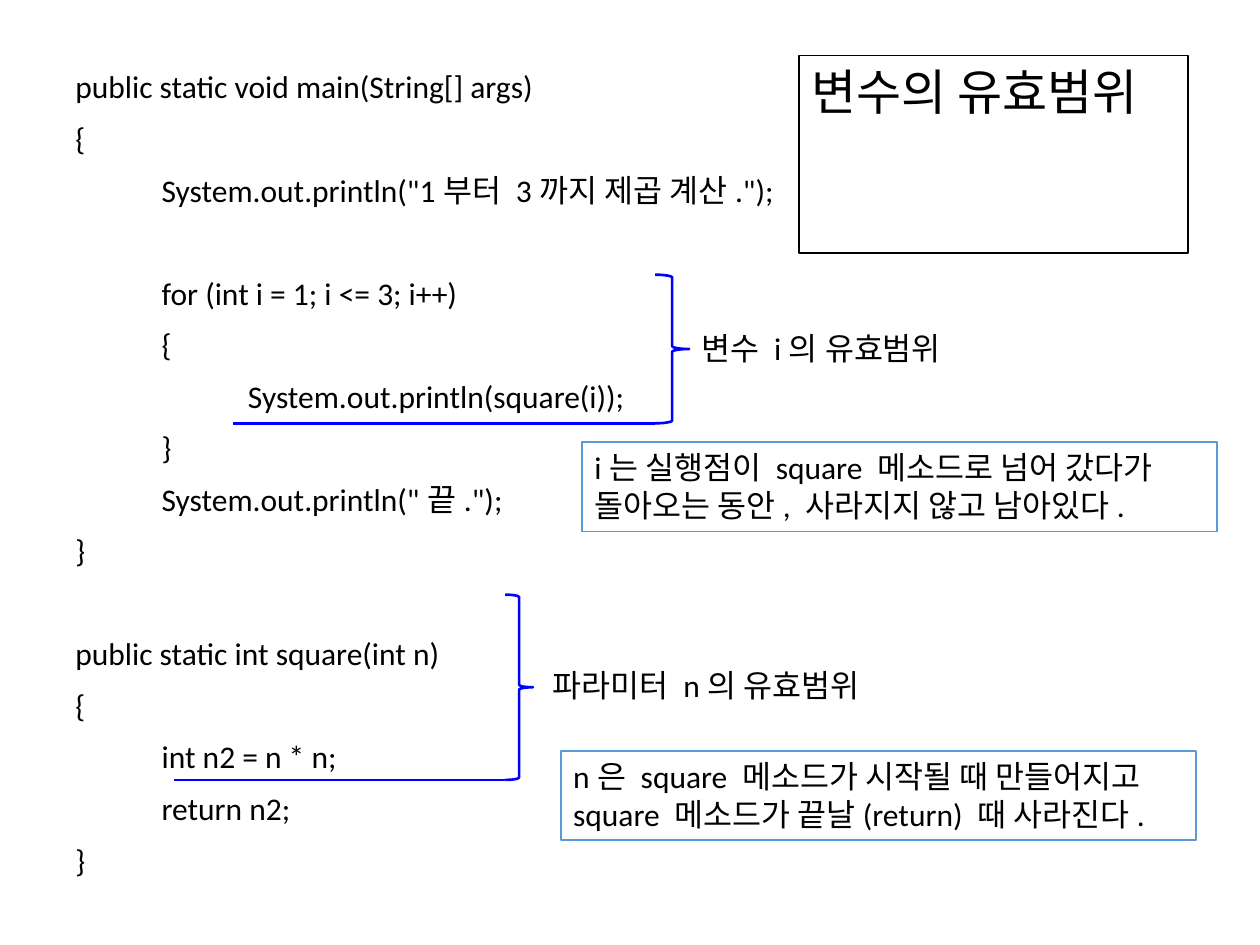
"""Build a slide that explains the scope of variables in Java code."""
from lxml import etree
from pptx import Presentation
from pptx.dml.color import RGBColor
from pptx.enum.shapes import MSO_CONNECTOR, MSO_SHAPE
from pptx.enum.text import MSO_ANCHOR, MSO_AUTO_SIZE, PP_ALIGN
from pptx.oxml.ns import qn
from pptx.util import Inches, Pt

LEFT, TOP = PP_ALIGN.LEFT, MSO_ANCHOR.TOP
FIT_SHAPE, FIXED = MSO_AUTO_SIZE.SHAPE_TO_FIT_TEXT, MSO_AUTO_SIZE.NONE
RECTANGLE, BRACE = MSO_SHAPE.RECTANGLE, MSO_SHAPE.RIGHT_BRACE
STRAIGHT = MSO_CONNECTOR.STRAIGHT

COLORS = {"text": "000000", "paper": "FFFFFF", "scope": "0000FF", "note": "5B9BD5"}
FONT = "Calibri"
TAB_STEP = 0.685

TITLE = ("변수의 유효범위", (6.34, 0.44, 3.09, 0.57))
CODE_BOX = (0.5, 0.52, 6, 6.18)
CODE = [
    "public static void main(String[] args)",
    "{",
    "\tSystem.out.println(\"1부터 3까지 제곱 계산.\");",
    "\t",
    "\tfor (int i = 1; i <= 3; i++)",
    "\t{",
    "\t\tSystem.out.println(square(i));",
    "\t}",
    "\tSystem.out.println(\"끝.\");",
    "}",
    "",
    "public static int square(int n)",
    "{",
    "\tint n2 = n * n;",
    "\treturn n2;",
    "}",
]
SCOPES = [
    {"brace": (4.01, 4.72, 0.22, 1.47), "underline_left": 1.38},
    {"brace": (5.2, 2.18, 0.27, 1.18), "underline_left": 1.85},
]
LABELS = [
    ("변수 i의 유효범위", (5.47, 2.56, 2.21, 0.4)),
    ("파라미터 n의 유효범위", (4.29, 5.24, 2.8, 0.4)),
]
NOTES = [
    ("n은 square 메소드가 시작될 때 만들어지고 square 메소드가 끝날(return) 때 사라진다.",
     (4.45, 5.96, 5.04, 0.71)),
    ("i는 실행점이 square 메소드로 넘어 갔다가 돌아오는 동안, 사라지지 않고 남아있다.",
     (4.62, 3.51, 5.04, 0.71)),
]


def color(name):
    return RGBColor.from_string(COLORS[name])


def inches(box):
    return [Inches(value) for value in box]


def set_line(shape, name, width):
    shape.line.color.rgb = color(name)
    shape.line.width = Pt(width)


def set_frame(shape, name):
    shape.fill.solid()
    shape.fill.fore_color.rgb = color("paper")
    set_line(shape, name, 1)


def add_tabs(paragraph, count):
    tabs = etree.SubElement(paragraph._p.get_or_add_pPr(), qn("a:tabLst"))
    for number in range(1, count + 1):
        position = str(Inches(TAB_STEP * number))
        etree.SubElement(tabs, qn("a:tab"), pos=position, algn="l")


def write(shape, lines, size=18, wrap=True, fit=FIT_SHAPE, spacing=None, before=0, tabs=0):
    frame = shape.text_frame
    frame.word_wrap, frame.auto_size, frame.vertical_anchor = wrap, fit, TOP
    for index, line in enumerate(lines):
        paragraph = frame.add_paragraph() if index else frame.paragraphs[0]
        paragraph.alignment = LEFT
        if spacing:
            paragraph.line_spacing = spacing
        if before and index:
            paragraph.space_before = Pt(before)
        if tabs:
            add_tabs(paragraph, tabs)
        if line:
            run = paragraph.add_run()
            run.text = line
            run.font.name, run.font.size = FONT, Pt(size)
            run.font.color.rgb = color("text")


def add_scope(slide, brace, underline_left):
    group = slide.shapes.add_group_shape()
    left, top, width, height = brace
    shape = group.shapes.add_shape(BRACE, *inches(brace))
    shape.shadow.inherit = False
    shape.fill.background()
    bottom = top + height
    underline = group.shapes.add_connector(
        STRAIGHT, *inches((left, bottom, underline_left, bottom)))
    etree.SubElement(underline._element.spPr, qn("a:effectLst"))
    for part in (shape, underline):
        set_line(part, "scope", 1.5)


def main():
    presentation = Presentation()
    presentation.slide_width, presentation.slide_height = Inches(10), Inches(7.5)
    slide = presentation.slides.add_slide(presentation.slide_layouts[5])

    title_text, title_box = TITLE
    title = slide.shapes.title
    title.left, title.top, title.width, title.height = inches(title_box)
    set_frame(title, "text")
    write(title, [title_text], size=28, wrap=False)

    code = slide.shapes.add_textbox(*inches(CODE_BOX))
    write(code, CODE, fit=FIXED, spacing=0.9, before=10, tabs=2)

    for scope in SCOPES:
        add_scope(slide, **scope)
    for text, box in LABELS:
        write(slide.shapes.add_textbox(*inches(box)), [text], wrap=False)
    for text, box in NOTES:
        note = slide.shapes.add_shape(RECTANGLE, *inches(box))
        note.shadow.inherit = False
        set_frame(note, "note")
        write(note, [text])

    presentation.save("out.pptx")


if __name__ == "__main__":
    main()
